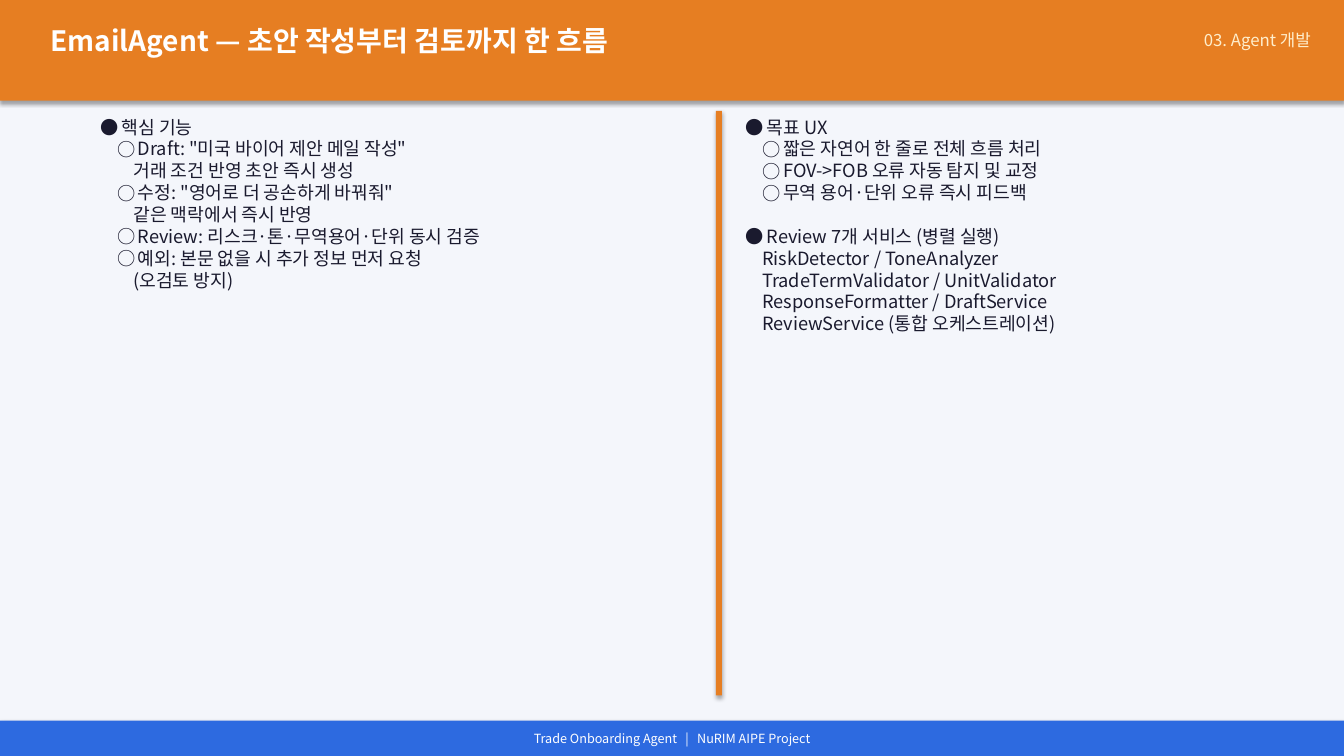
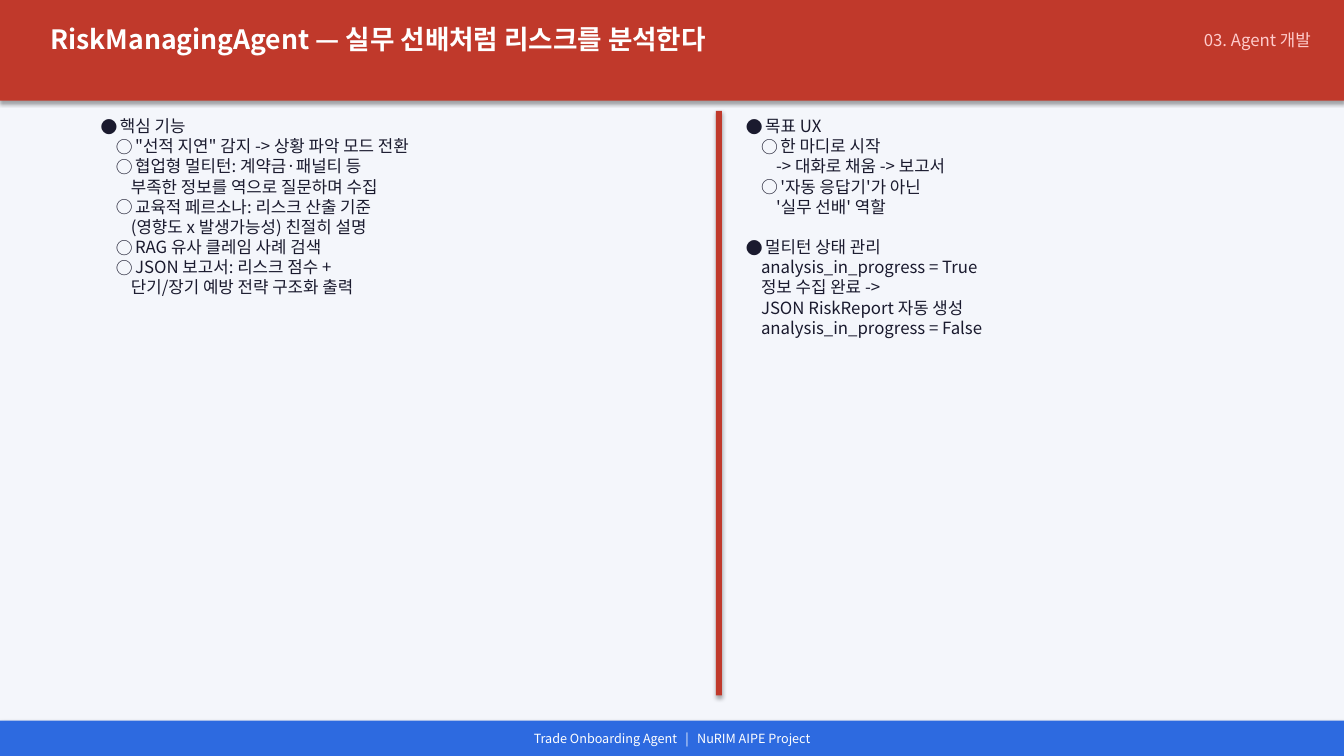
import pptx
import pptx.dml.color
import pptx.enum.shapes
import pptx.enum.text
import pptx.oxml.ns
import pptx.util
from lxml import etree

RGB = pptx.dml.color.RGBColor
ALIGN = pptx.enum.text.PP_ALIGN
WHITE = RGB(0xFF, 0xFF, 0xFF)
PAPER = RGB(0xF4, 0xF6, 0xFB)
INK = RGB(0x1A, 0x1A, 0x2E)
BLUE = RGB(0x2D, 0x6A, 0xE0)
ORANGE = RGB(0xE6, 0x7E, 0x22)
CREAM = RGB(0xFF, 0xEE, 0xCC)
RED = RGB(0xC0, 0x39, 0x2B)
PINK = RGB(0xFF, 0xCC, 0xCC)

FACE = "Noto Sans CJK KR"
CELL = 0.1
COLS, ROWS = 133.3, 75
HEAD = (0, 0, COLS, 10)
BODY = (9, 11, 122, 58)
FOOT = (0, 71.5, COLS, 3.5)
STEP, HANG, LINE = 0.9, 1.15, 1.2
MARKS = {"head": (0, "●"), "item": (1, "○"), "more": (2, None), "plain": (1, None)}

DECKS = [
    {
        "title": "EmailAgent — 초안 작성부터 검토까지 한 흐름",
        "tsize": 20, "size": 13, "tone": ORANGE, "pale": CREAM,
        "left": [
            ("head", "핵심 기능"),
            ("item", 'Draft: "미국 바이어 제안 메일 작성"'),
            ("more", "거래 조건 반영 초안 즉시 생성"),
            ("item", '수정: "영어로 더 공손하게 바꿔줘"'),
            ("more", "같은 맥락에서 즉시 반영"),
            ("item", "Review: 리스크·톤·무역용어·단위 동시 검증"),
            ("item", "예외: 본문 없을 시 추가 정보 먼저 요청"),
            ("more", "(오검토 방지)"),
        ],
        "right": [
            ("head", "목표 UX"),
            ("item", "짧은 자연어 한 줄로 전체 흐름 처리"),
            ("item", "FOV->FOB 오류 자동 탐지 및 교정"),
            ("item", "무역 용어·단위 오류 즉시 피드백"),
            ("head", "Review 7개 서비스 (병렬 실행)"),
            ("plain", "RiskDetector / ToneAnalyzer"),
            ("plain", "TradeTermValidator / UnitValidator"),
            ("plain", "ResponseFormatter / DraftService"),
            ("plain", "ReviewService (통합 오케스트레이션)"),
        ],
    },
    {
        "title": "RiskManagingAgent — 실무 선배처럼 리스크를 분석한다",
        "tsize": 19, "size": 12, "tone": RED, "pale": PINK,
        "left": [
            ("head", "핵심 기능"),
            ("item", '"선적 지연" 감지 -> 상황 파악 모드 전환'),
            ("item", "협업형 멀티턴: 계약금·패널티 등"),
            ("more", "부족한 정보를 역으로 질문하며 수집"),
            ("item", "교육적 페르소나: 리스크 산출 기준"),
            ("more", "(영향도 x 발생가능성) 친절히 설명"),
            ("item", "RAG 유사 클레임 사례 검색"),
            ("item", "JSON 보고서: 리스크 점수 +"),
            ("more", "단기/장기 예방 전략 구조화 출력"),
        ],
        "right": [
            ("head", "목표 UX"),
            ("item", "한 마디로 시작"),
            ("more", "-> 대화로 채움 -> 보고서"),
            ("item", "'자동 응답기'가 아닌"),
            ("more", "'실무 선배' 역할"),
            ("head", "멀티턴 상태 관리"),
            ("plain", "analysis_in_progress = True"),
            ("plain", "정보 수집 완료 ->"),
            ("plain", "JSON RiskReport 자동 생성"),
            ("plain", "analysis_in_progress = False"),
        ],
    },
]


def grid(*box):
    return [pptx.util.Inches(n * CELL) for n in box]


def style(thing, form):
    for key, val in form.items():
        setattr(thing, key, val)


def write(para, text, size, tint, bold=False):
    run = para.add_run()
    run.text = text
    style(run.font, {"name": FACE, "size": pptx.util.Pt(size), "bold": bold})
    run.font.color.rgb = tint
    return run


def frame(shape):
    style(shape.text_frame, {
        "word_wrap": True,
        "auto_size": pptx.enum.text.MSO_AUTO_SIZE.SHAPE_TO_FIT_TEXT,
        "vertical_anchor": pptx.enum.text.MSO_ANCHOR.TOP,
    })
    return shape.text_frame


def label(slide, box):
    return frame(slide.shapes.add_textbox(*grid(*box)))


def block(slide, box, tint):
    kind = pptx.enum.shapes.MSO_SHAPE.RECTANGLE
    shape = slide.shapes.add_shape(kind, *grid(*box))
    shape.fill.solid()
    shape.fill.fore_color.rgb = tint
    shape.line.fill.background()


def header(slide, box, deck):
    x, y, w, h = box
    block(slide, box, deck["tone"])
    title = slide.shapes.title
    title.element.getparent().append(title.element)
    spot = grid(x + 4, y + 1.8, 100, 6.5)
    style(title, dict(zip(("left", "top", "width", "height"), spot)))
    para = frame(title).paragraphs[0]
    para.alignment = ALIGN.LEFT
    write(para, deck["title"], deck["tsize"], WHITE, True)
    para = label(slide, (x + w - 28.3, y + 2.5, 26, 5)).paragraphs[0]
    para.alignment = ALIGN.RIGHT
    write(para, "03. Agent 개발", 12, deck["pale"])


def footer(slide, box):
    x, y, w, h = box
    block(slide, box, BLUE)
    para = label(slide, (x, y + 0.5, w, 2.8)).paragraphs[0]
    para.alignment = ALIGN.CENTER
    write(para, "Trade Onboarding Agent", 9, WHITE)
    bar = write(para, " |", 9, WHITE)
    bar.font._element.set("spc", "400")
    write(para, " NuRIM AIPE Project", 9, WHITE)


def bullet(para, kind, size):
    level, mark = MARKS[kind]
    hang = HANG * size if mark else 0
    props = para._p.get_or_add_pPr()
    props.set("marL", str(pptx.util.Pt(level * STEP * size + hang)))
    props.set("indent", str(-pptx.util.Pt(hang)))
    if mark:
        for tag, key, val in (("a:buFont", "typeface", FACE), ("a:buChar", "char", mark)):
            etree.SubElement(props, pptx.oxml.ns.qn(tag)).set(key, val)


def column(slide, box, rows, size):
    text = label(slide, box)
    for i, (kind, words) in enumerate(rows):
        para = text.add_paragraph() if i else text.paragraphs[0]
        bullet(para, kind, size)
        if i and kind == "head":
            para.space_before = pptx.util.Pt(LINE * size)
        write(para, words, size, INK)


def body(slide, box, deck):
    x, y, w, h = box
    column(slide, (x, y, w / 2, h), deck["left"], deck["size"])
    block(slide, (x + w / 2 + 1, y, 0.6, h), deck["tone"])
    column(slide, (x + w / 2 + 3, y, w / 2 - 3, h), deck["right"], deck["size"])


def main():
    show = pptx.Presentation()
    wide, high = grid(COLS, ROWS)
    style(show, {"slide_width": wide, "slide_height": high})
    fill = show.slide_master.background.fill
    fill.solid()
    fill.fore_color.rgb = PAPER
    for deck in DECKS:
        slide = show.slides.add_slide(show.slide_layouts[5])
        header(slide, HEAD, deck)
        footer(slide, FOOT)
        body(slide, BODY, deck)
    show.save("out.pptx")


if __name__ == "__main__":
    main()
